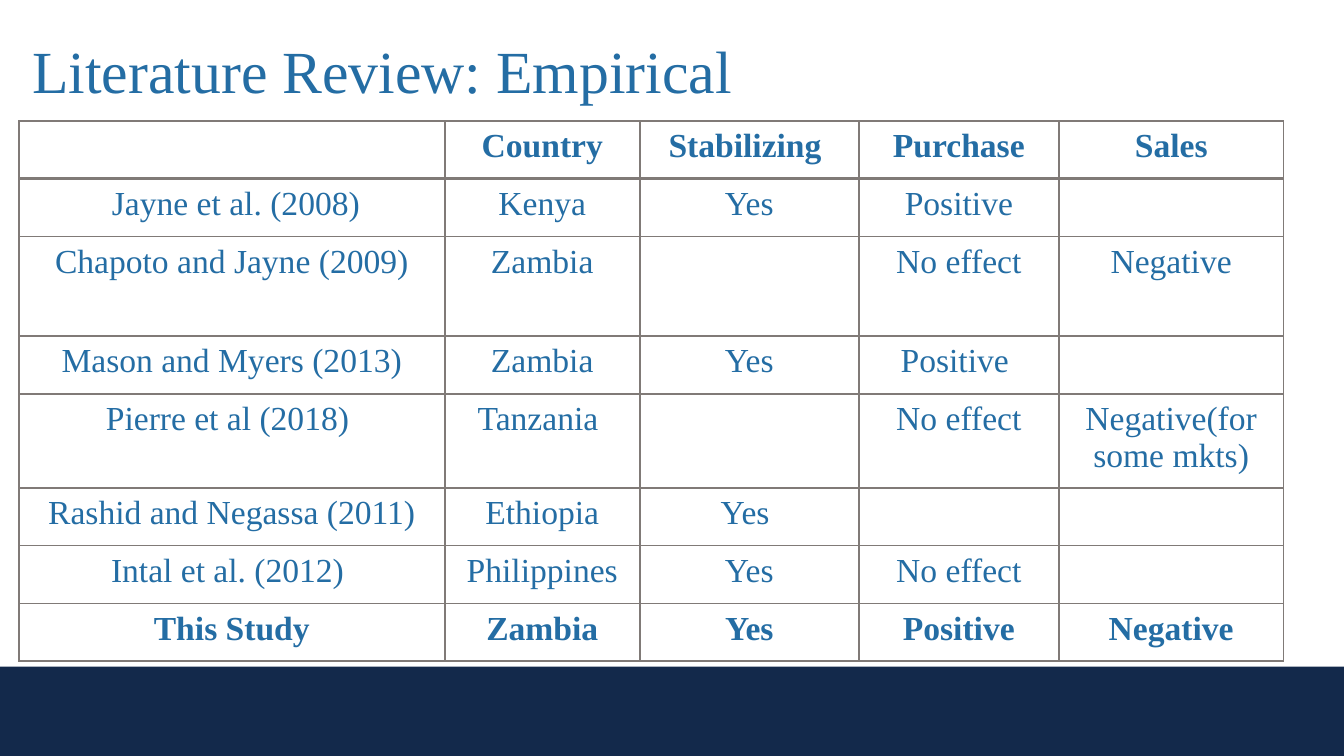
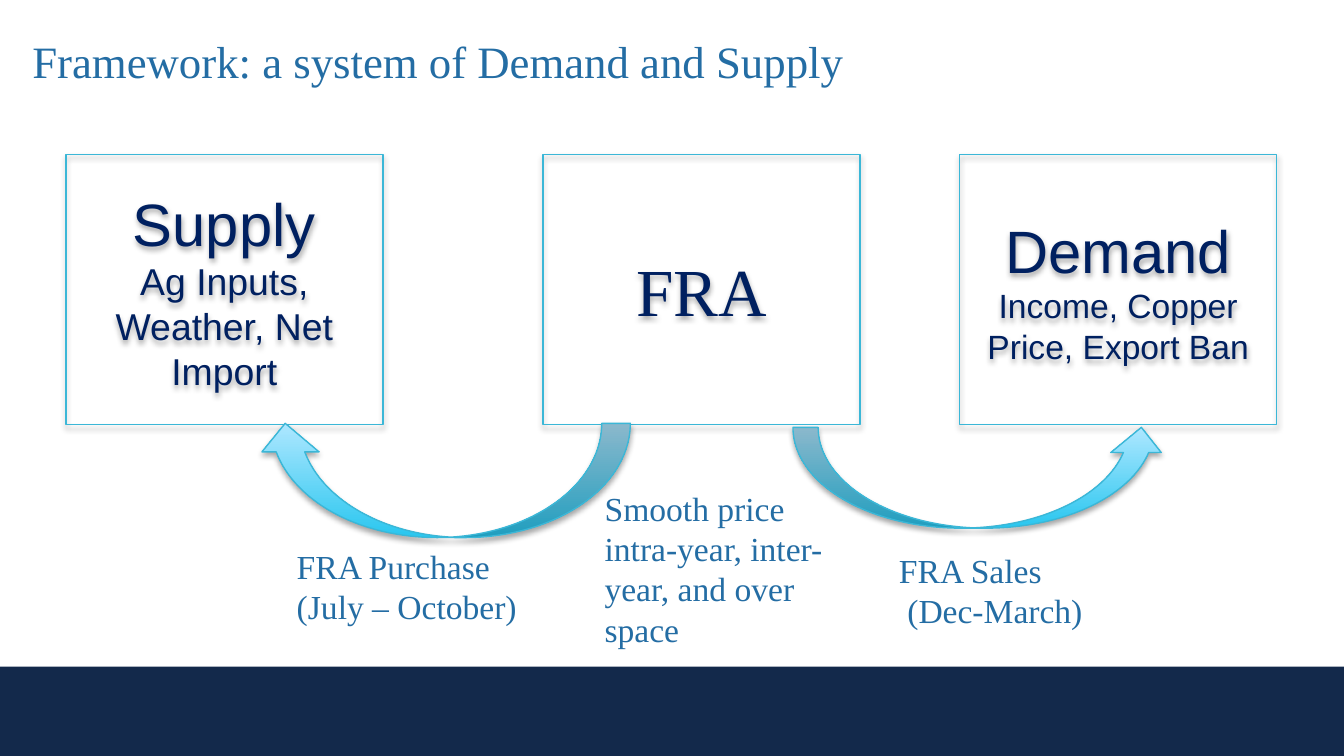
from dataclasses import dataclass

from lxml import etree
from pptx import Presentation
from pptx import util as u
from pptx.dml.color import RGBColor
from pptx.enum import shapes, text
from pptx.oxml import ns

EMU_PER_PX = 9144  # 100 px to the inch
SLIDE_WIDTH = 1000
SERIF, SANS = "Times New Roman", "Arial"
BLUE, NAVY, BAND = "246DA4", "002060", "13294B"
CYAN, LIGHT, DARK, GREY = "3BB7D7", "AEE7FF", "29C6EF", "807A77"


@dataclass(frozen=True)
class Line:
    words: str
    size: int


@dataclass(frozen=True)
class Box:
    left: int
    lines: tuple[Line, ...]
    font: str


@dataclass(frozen=True)
class Arrow:
    left: int
    top: int
    height: int
    flipped: bool


@dataclass(frozen=True)
class Label:
    left: int
    top: int
    width: int
    height: int
    lines: tuple[str, ...]


# Literature table
COLUMN_WIDTHS = (317, 145, 163, 149, 167)
ROW_HEIGHTS = (43, 43, 74, 43, 70, 43, 43, 43)
STUDIES = (
    ("", "Country", "Stabilizing ", "Purchase", "Sales"),
    (" Jayne et al. (2008)", "Kenya", "Yes", "Positive", ""),
    ("Chapoto and Jayne (2009)", "Zambia", "", "No effect", "Negative"),
    ("Mason and Myers (2013)", "Zambia", "Yes", "Positive ", ""),
    ("Pierre et al (2018) ", "Tanzania ", "", "No effect", "Negative(for some mkts)"),
    ("Rashid and Negassa (2011)", "Ethiopia", "Yes ", "", ""),
    ("Intal et al. (2012) ", "Philippines", "Yes", "No effect", ""),
    ("This Study", "Zambia", "Yes", "Positive", "Negative"),
)

# Framework diagram
BOXES = (
    Box(49, (Line("Supply", 32), Line("Ag Inputs, Weather, Net Import", 20)), SANS),
    Box(404, (Line("FRA", 36),), SERIF),
    Box(714, (Line("Demand", 32), Line("Income, Copper Price, Export Ban", 18)), SANS),
)
ARROWS = (Arrow(191, 315, 85, True), Arrow(590, 318, 75, False))
LABELS = (
    Label(211, 401, 273, 71, ("FRA Purchase", "(July – October)")),
    Label(659, 404, 259, 71, ("FRA Sales", " (Dec-March)")),
    Label(440, 358, 182, 131, ("Smooth price", "intra-year, inter-year, and over space")),
)


def px(length: int) -> u.Emu:
    return u.Emu(length * EMU_PER_PX)


def color(value: str) -> RGBColor:
    return RGBColor.from_string(value)


def write(paragraph, words: str, *, size: int, font: str = SERIF, fill: str = BLUE,
          bold: bool = False, align=text.PP_ALIGN.LEFT) -> None:
    paragraph.alignment = align
    run = paragraph.add_run()
    run.text = words
    run.font.size = u.Pt(size)
    run.font.name = font
    run.font.bold = bold
    run.font.color.rgb = color(fill)


def write_lines(frame, lines: tuple[Line, ...], **style) -> None:
    frame.word_wrap = True
    for index, line in enumerate(lines):
        paragraph = frame.add_paragraph() if index else frame.paragraphs[0]
        write(paragraph, line.words, size=line.size, **style)


def add_slide(presentation, title: str, size: int, title_height: int):
    """Add a slide with its title and the bottom band."""
    slide = presentation.slides.add_slide(presentation.slide_layouts[5])
    shape = slide.shapes.title
    shape.left, shape.top = px(14), px(20)
    shape.width, shape.height = px(975), px(title_height)
    shape.text_frame.vertical_anchor = text.MSO_ANCHOR.TOP
    shape.text_frame.auto_size = text.MSO_AUTO_SIZE.NONE
    write_lines(shape.text_frame, (Line(title, size),))
    band = slide.shapes.add_shape(shapes.MSO_SHAPE.RECTANGLE, 0, px(496), px(1001), px(67))
    band.shadow.inherit = False
    band.fill.solid()
    band.fill.fore_color.rgb = color(BAND)
    band.line.fill.background()
    return slide


def set_borders(cell, row: int) -> None:
    properties = cell._tc.get_or_add_tcPr()
    for edge in "LRTB":
        heavy = (row, edge) in ((0, "B"), (1, "T"))
        border = etree.SubElement(properties, ns.qn(f"a:ln{edge}"), w=str(u.Pt(2 if heavy else 1)))
        fill = etree.SubElement(border, ns.qn("a:solidFill"))
        etree.SubElement(fill, ns.qn("a:srgbClr"), val=GREY)


def add_study_table(slide) -> None:
    frame = slide.shapes.add_table(len(STUDIES), len(COLUMN_WIDTHS), px(14), px(90),
                                   px(sum(COLUMN_WIDTHS)), px(sum(ROW_HEIGHTS)))
    table = frame.table
    table.first_row = table.horz_banding = False
    for column, width in zip(table.columns, COLUMN_WIDTHS):
        column.width = px(width)
    for row, (height, values) in enumerate(zip(ROW_HEIGHTS, STUDIES)):
        table.rows[row].height = px(height)
        for column, value in enumerate(values):
            cell = table.cell(row, column)
            set_borders(cell, row)
            cell.fill.background()
            if value:
                write(cell.text_frame.paragraphs[0], value, size=18,
                      bold=row in (0, len(STUDIES) - 1), align=text.PP_ALIGN.CENTER)


def outline_and_shade(shape) -> None:
    """Give a shape the thin cyan line and the soft shadow below it."""
    shape.line.color.rgb = color(CYAN)
    shape.line.width = u.Pt(0.75)
    shape.shadow.inherit = False
    effects = shape._element.spPr.find(ns.qn("a:effectLst"))
    shadow = etree.SubElement(effects, ns.qn("a:outerShdw"), blurRad=str(u.Pt(3.1)),
                              dist=str(u.Pt(1.8)), dir="5400000", rotWithShape="0")
    shade = etree.SubElement(shadow, ns.qn("a:srgbClr"), val="000000")
    etree.SubElement(shade, ns.qn("a:alpha"), val="35000")


def add_box(slide, box: Box) -> None:
    shape = slide.shapes.add_shape(shapes.MSO_SHAPE.RECTANGLE, px(box.left), px(115),
                                   px(236), px(201))
    shape.fill.background()
    outline_and_shade(shape)
    shape.text_frame.vertical_anchor = text.MSO_ANCHOR.MIDDLE
    write_lines(shape.text_frame, box.lines, font=box.font, fill=NAVY,
                align=text.PP_ALIGN.CENTER)


def add_arrow(slide, arrow: Arrow) -> None:
    shape = slide.shapes.add_shape(shapes.MSO_SHAPE.CURVED_UP_ARROW, px(arrow.left),
                                   px(arrow.top), px(278), px(arrow.height))
    shape.fill.gradient()
    shape.fill.gradient_angle = 90
    for stop, position, value in zip(shape.fill.gradient_stops, (0, 1), (DARK, LIGHT)):
        stop.position = position
        stop.color.rgb = color(value)
    outline_and_shade(shape)
    if arrow.flipped:
        shape._element.spPr.find(ns.qn("a:xfrm")).set("flipH", "1")


def add_label(slide, label: Label) -> None:
    shape = slide.shapes.add_textbox(px(label.left), px(label.top), px(label.width),
                                     px(label.height))
    write_lines(shape.text_frame, tuple(Line(words, 18) for words in label.lines))


def main() -> None:
    presentation = Presentation()
    presentation.slide_width = px(SLIDE_WIDTH)
    presentation.slide_height = u.Emu(px(SLIDE_WIDTH) * 9 // 16)

    literature = add_slide(presentation, "Literature Review: Empirical", 32, 104)
    add_study_table(literature)

    framework = add_slide(presentation, "Framework: a system of Demand and Supply", 24, 333)
    for box in BOXES:
        add_box(framework, box)
    for arrow in ARROWS:
        add_arrow(framework, arrow)
    for label in LABELS:
        add_label(framework, label)

    presentation.save("out.pptx")


if __name__ == "__main__":
    main()
